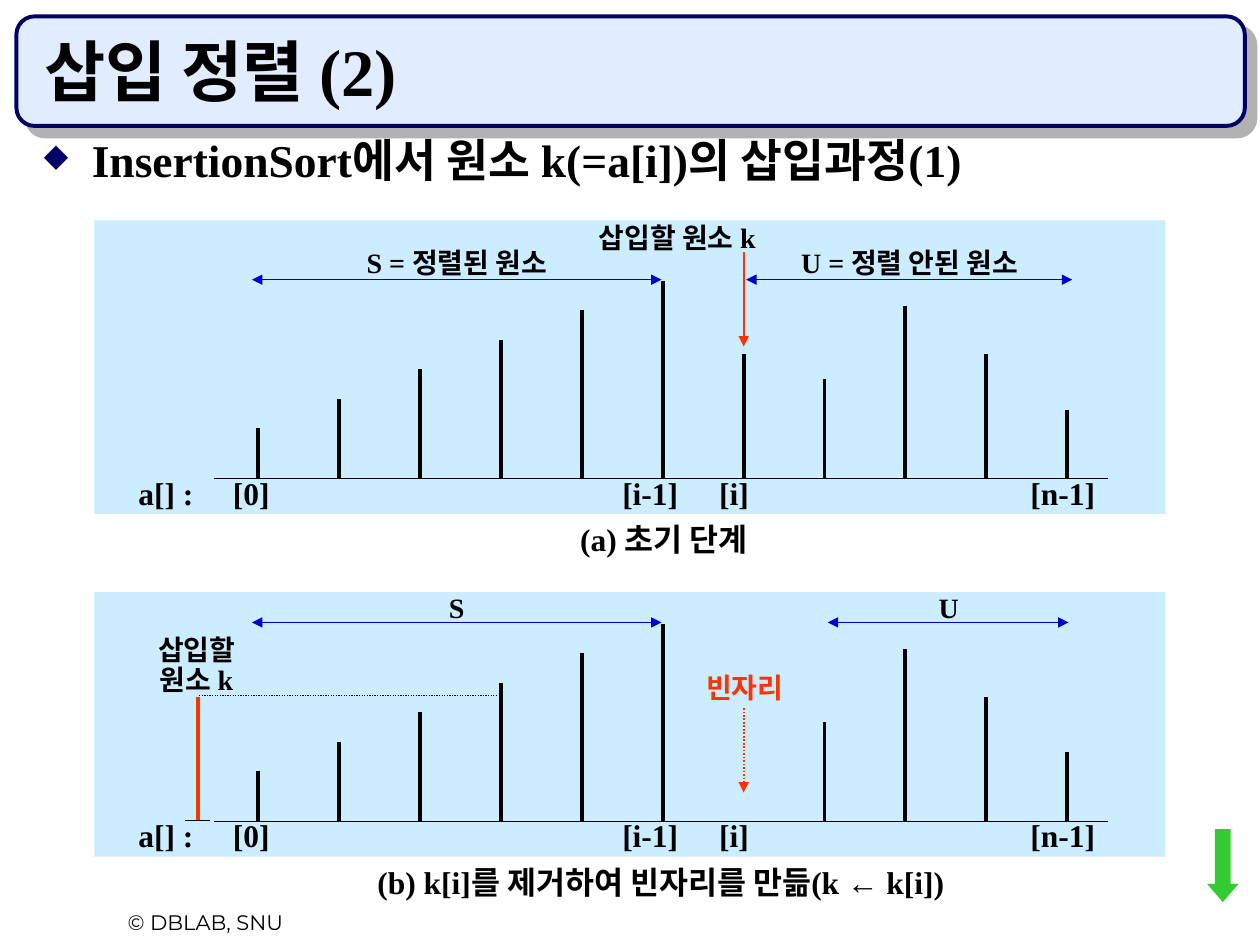
from lxml import etree
from pptx import Presentation
from pptx.dml.color import RGBColor
from pptx.enum.dml import MSO_LINE
from pptx.enum.shapes import MSO_CONNECTOR, MSO_SHAPE
from pptx.enum.text import MSO_ANCHOR, MSO_AUTO_SIZE, PP_ALIGN
from pptx.oxml.ns import qn
from pptx.util import Inches, Pt

LEFT, CENTER = PP_ALIGN.LEFT, PP_ALIGN.CENTER
BOTTOM = MSO_ANCHOR.BOTTOM
NO_FIT = MSO_AUTO_SIZE.NONE
STRAIGHT = MSO_CONNECTOR.STRAIGHT
DOTTED = MSO_LINE.ROUND_DOT
RECT, ROUND_RECT, DOWN_ARROW = MSO_SHAPE.RECTANGLE, MSO_SHAPE.ROUNDED_RECTANGLE, MSO_SHAPE.DOWN_ARROW

COLORS = {"black": "000000", "navy": "000066", "blue": "0000CC", "red": "FF3300",
          "title": "E1ECFF", "panel": "CCECFF", "green": "33CC33", "shadow": "B2B2B2"}
BODY_FONT = "Times New Roman"
BAR_HEIGHTS = [0.4, 0.63, 0.87, 1.1, 1.34, 1.57, 0.99, 0.79, 1.37, 0.99, 0.55]
BAR_GAP = 0.642
K_INDEX = 6
INDEX_TABS = [0.75, 3.84, 4.61, 7.08]


def rgb(name):
    return RGBColor.from_string(COLORS[name])


def child(parent, tag, **attrs):
    return etree.SubElement(parent, qn(tag), {key: str(value) for key, value in attrs.items()})


def inches(box):
    return [Inches(v) for v in box]


def write(tf, text, size, color="black", align=CENTER, font=BODY_FONT, bold=True, spacing=None):
    for name, value in {"word_wrap": True, "auto_size": NO_FIT}.items():
        setattr(tf, name, value)
    p = tf.paragraphs[0]
    for name, value in {"alignment": align, "line_spacing": spacing, "space_before": Pt(0)}.items():
        setattr(p, name, value)
    r = p.add_run()
    r.text = text
    for name, value in {"name": font, "size": Pt(size), "bold": bold}.items():
        setattr(r.font, name, value)
    r.font.color.rgb = rgb(color)
    return p


def add_text(s, box, text, size, **fmt):
    return write(s.shapes.add_textbox(*inches(box)).text_frame, text, size, **fmt)


def add_block(s, kind, box, fill):
    sp = s.shapes.add_shape(kind, *inches(box))
    sp.shadow.inherit = False
    sp.fill.solid()
    sp.fill.fore_color.rgb = rgb(fill)
    sp.line.fill.background()
    return sp


def add_line(s, x1, y1, x2, y2, color="black", width=0.75, dash=None, ends=()):
    cx = s.shapes.add_connector(STRAIGHT, *inches((x1, y1, x2, y2)))
    cx.line.color.rgb = rgb(color)
    cx.line.width = Pt(width)
    if dash:
        cx.line.dash_style = dash
    for end in ends:
        child(cx.line._get_or_add_ln(), end, type="triangle")
    child(cx._element.spPr, "a:effectLst")


def add_range(s, x1, x2, y):
    add_line(s, x1, y, x2, y, "blue", ends=("a:headEnd", "a:tailEnd"))


def add_pointer(s, x, y1, y2, dash=None):
    add_line(s, x, y1, x, y2, "red", 1, dash, ("a:tailEnd",))


def add_title(s, box):
    x, y, w, h = box
    banner = add_block(s, ROUND_RECT, box, "title")
    banner.adjustments[0] = 0.167
    banner.line.color.rgb = rgb("navy")
    banner.line.width = Pt(2.25)
    effects = banner._element.spPr.find(qn("a:effectLst"))
    shadow = child(effects, "a:outerShdw", dist=Pt(8.5), dir=45 * 60000, algn="ctr", rotWithShape=0)
    child(shadow, "a:srgbClr", val=COLORS["shadow"])

    title = s.shapes.title
    place = inches((x + 0.12, y + 0.12, w - 0.33, h - 0.2))
    for name, value in zip(("left", "top", "width", "height"), place):
        setattr(title, name, value)
    title.text_frame.vertical_anchor = BOTTOM
    write(title.text_frame, "삽입 정렬 (2)", 38, align=LEFT)
    s.shapes._spTree.append(title._element)


def add_heading(s, box):
    p = add_text(s, box, "InsertionSort에서 원소 k(=a[i])의 삽입과정(1)", 26, align=LEFT, spacing=0.8)
    pPr = p._p.get_or_add_pPr()
    pPr.set("marL", str(Inches(0.38)))
    pPr.set("indent", str(-Inches(0.38)))
    child(child(pPr, "a:buClr"), "a:srgbClr", val=COLORS["navy"])
    child(pPr, "a:buSzPct", val=70000)
    child(pPr, "a:buChar", char="◆")


def add_array(s, box, caption, caption_box, skipped=None):
    x, y, w, h = box
    base = y + h - 0.28
    first = x + 1.3
    add_block(s, RECT, box, "panel")
    add_line(s, x + 0.95, base, x + 8.04, base)
    for i, height in enumerate(BAR_HEIGHTS):
        if i != skipped:
            bar_x = first + i * BAR_GAP
            add_line(s, bar_x, base - height, bar_x, base, width=2.25)
    add_range(s, x + 1.25, x + 4.5, base - 1.58)

    p = add_text(s, (x + 0.25, base - 0.09, 8.58, 0.4), "a[] :\t[0]\t[i-1]\t[i]\t[n-1]", 18, align=LEFT)
    tabs = child(p._p.get_or_add_pPr(), "a:tabLst")
    for pos in INDEX_TABS:
        child(tabs, "a:tab", pos=Inches(pos), algn="l")
    cap_x, cap_w = caption_box
    add_text(s, (cap_x, y + h, cap_w, 0.4), caption, 18)
    return base, first + K_INDEX * BAR_GAP


def add_initial_step(s, box):
    x, y, w, h = box
    base, k_x = add_array(s, box, "(a) 초기 단계", (4.23, 2.08))
    add_range(s, k_x + 0.02, x + 7.76, base - 1.58)
    add_pointer(s, k_x, base - 1.8, base - 1.05)
    for left, top, width, text in [(1.75, 0.15, 2.25, "S = 정렬된 원소"),
                                   (5.18, 0.15, 2.58, "U = 정렬 안된 원소"),
                                   (3.75, -0.05, 1.75, "삽입할 원소 k")]:
        add_text(s, (x + left, y + top, width, 0.37), text, 16)


def add_removal_step(s, box):
    x, y, w, h = box
    base, k_x = add_array(s, box, "(b) k[i]를 제거하여 빈자리를 만듦(k ← k[i])", (2.33, 5.83), K_INDEX)
    add_range(s, x + 5.82, x + 7.73, base - 1.58)
    add_pointer(s, k_x, base - 0.9, base - 0.23, DOTTED)
    removed_x = x + 0.82
    top = base - BAR_HEIGHTS[K_INDEX]
    add_line(s, removed_x, top, removed_x, base, "red", 2.25)
    add_line(s, removed_x - 0.1, base - 0.01, removed_x + 0.1, base - 0.01)
    add_line(s, removed_x + 0.01, top - 0.01, x + 3.19, top - 0.01, dash=DOTTED)
    for left, label_top, width, text, color in [(2.5, -0.06, 0.75, "S", "black"),
                                                (6.55, -0.06, 0.46, "U", "black"),
                                                (4.67, 0.57, 0.98, "빈자리", "red")]:
        add_text(s, (x + left, y + label_top, width, 0.37), text, 16, color=color)
    add_text(s, (x + 0.32, y + 0.3, 0.98, 0.58), "삽입할 원소 k", 16, spacing=0.9)


def add_footer(s, box):
    add_text(s, box, "© DBLAB, SNU", 12, font="Montserrat", bold=False)


def main():
    prs = Presentation()
    prs.slide_width, prs.slide_height = Inches(10), Inches(7.5)
    s = prs.slides.add_slide(prs.slide_layouts[5])
    add_title(s, (0.13, 0.13, 9.75, 0.87))
    add_heading(s, (0.25, 1.08, 9.42, 0.5))
    add_initial_step(s, (0.75, 1.75, 8.5, 2.33))
    add_removal_step(s, (0.75, 4.7, 8.5, 2.1))
    arrow = add_block(s, DOWN_ARROW, (9.58, 6.58, 0.25, 0.58), "green")
    arrow.adjustments[1] = 0.58
    add_footer(s, (0.42, 7.17, 2.42, 0.3))
    prs.save("out.pptx")


if __name__ == "__main__":
    main()
